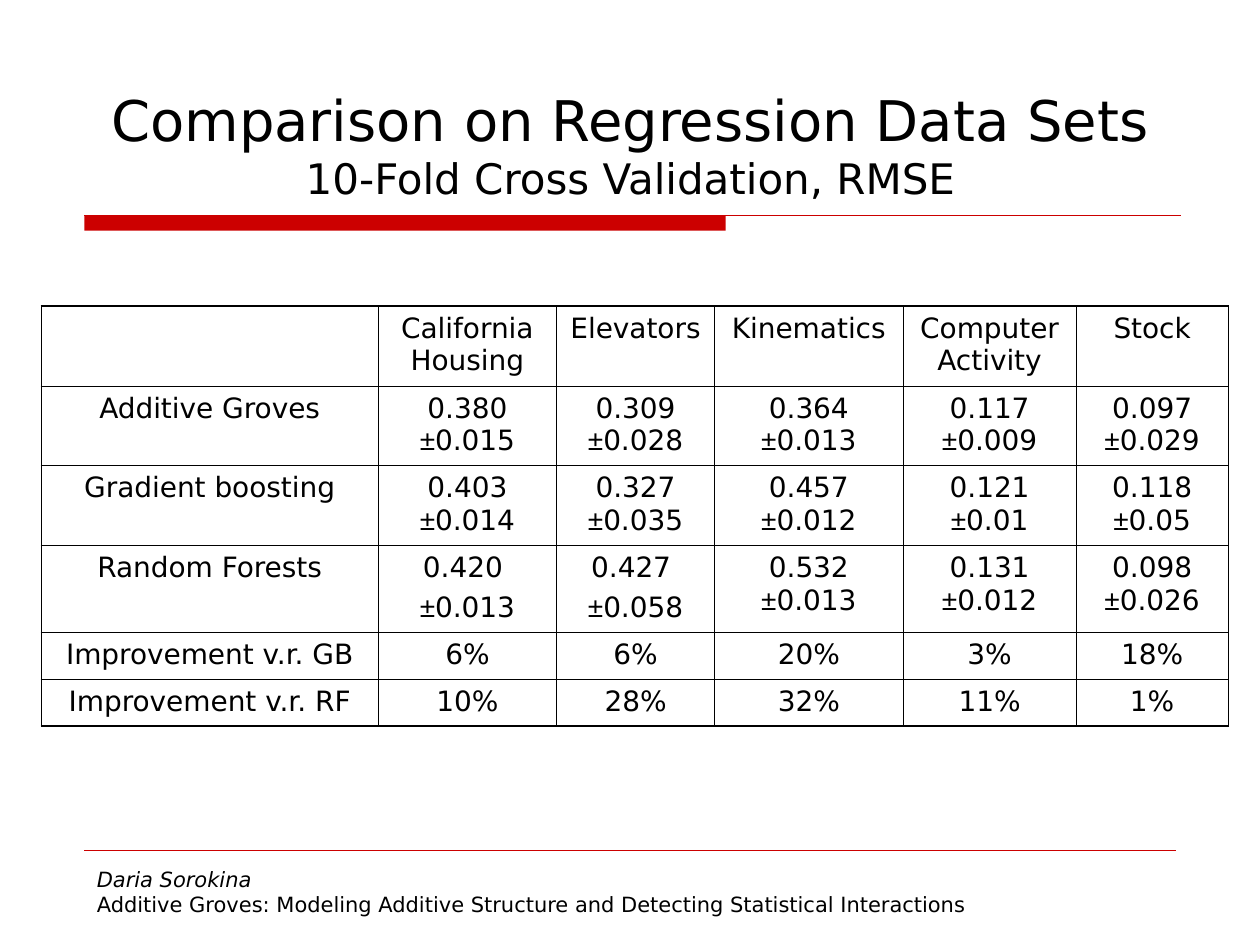
import dataclasses

import lxml.etree
import pptx
import pptx.dml.color
import pptx.enum.shapes
import pptx.enum.text
import pptx.oxml.ns
import pptx.util

PX = 9144  # one px is a hundredth of an inch


@dataclasses.dataclass(frozen=True)
class Theme:
    ink: str = "000000"
    red: str = "CC0000"
    face: str = "DejaVu Sans"
    sign: str = "Arial"
    head: int = 32
    sub: int = 24
    cell: int = 16
    foot: int = 12
    gap: int = 4
    thin: float = 0.45
    thick: float = 1.08


@dataclasses.dataclass(frozen=True)
class Box:
    x: int
    y: int
    w: int
    h: int

    def emu(self) -> tuple[int, ...]:
        return tuple(n * PX for n in (self.x, self.y, self.w, self.h))


@dataclasses.dataclass(frozen=True)
class Rule:
    x: int
    y: int
    end: int
    width: float


@dataclasses.dataclass(frozen=True)
class Score:
    mean: str
    error: str
    split: bool = False  # error stands in its own paragraph


@dataclasses.dataclass(frozen=True)
class Row:
    label: str
    cells: tuple
    height: int


THEME = Theme()
CENTER = pptx.enum.text.PP_ALIGN.CENTER
BAR = Box(67, 171, 509, 12)
RULES = (Rule(67, 171, 937, 0.75), Rule(67, 675, 933, 0.25))
TITLE = Box(63, 33, 875, 133)
FOOTER = Box(67, 683, 800, 52)
GRID = Box(33, 243, 942, 332)
COLS = (267, 142, 125, 150, 137, 121)
ROWS = (
    Row("", ("California Housing", "Elevators", "Kinematics",
             "Computer Activity", "Stock"), 63),
    Row("Additive Groves", (
        Score("0.380", "0.015"), Score("0.309", "0.028"), Score("0.364", "0.013"),
        Score("0.117", "0.009"), Score("0.097", "0.029")), 63),
    Row("Gradient boosting", (
        Score("0.403", "0.014"), Score("0.327", "0.035"), Score("0.457", "0.012"),
        Score("0.121", "0.01"), Score("0.118", "0.05")), 63),
    Row("Random Forests", (
        Score("0.420", "0.013", True), Score("0.427", "0.058", True),
        Score("0.532", "0.013"), Score("0.131", "0.012"), Score("0.098", "0.026")), 69),
    Row("Improvement v.r. GB", ("6%", "6%", "20%", "3%", "18%"), 37),
    Row("Improvement v.r. RF", ("10%", "28%", "32%", "11%", "1%"), 37),
)


def color(code: str) -> pptx.dml.color.RGBColor:
    return pptx.dml.color.RGBColor.from_string(code)


def add_run(para, text: str, size: int, face: str = THEME.face,
            slant: bool = False) -> None:
    run = para.add_run()
    run.text = text
    run.font.size = pptx.util.Pt(size)
    run.font.name = face
    run.font.italic = slant
    run.font.color.rgb = color(THEME.ink)


def add_frame(slide, box: Box):
    frame = slide.shapes.add_textbox(*box.emu()).text_frame
    frame.word_wrap = True
    return frame


def draw_title(slide) -> None:
    frame = add_frame(slide, TITLE)
    frame.vertical_anchor = pptx.enum.text.MSO_ANCHOR.BOTTOM
    para = frame.paragraphs[0]
    para.alignment = CENTER
    add_run(para, "Comparison on Regression Data Sets", THEME.head)
    para.add_line_break()
    add_run(para, "10-Fold Cross Validation, RMSE", THEME.sub)


def draw_footer(slide) -> None:
    frame = add_frame(slide, FOOTER)
    add_run(frame.paragraphs[0], "Daria Sorokina", THEME.foot, slant=True)
    add_run(frame.add_paragraph(),
            "Additive Groves: Modeling Additive Structure and Detecting "
            "Statistical Interactions", THEME.foot)


def draw_bar(slide, box: Box) -> None:
    bar = slide.shapes.add_shape(pptx.enum.shapes.MSO_SHAPE.RECTANGLE, *box.emu())
    bar.shadow.inherit = False
    bar.fill.solid()
    bar.fill.fore_color.rgb = color(THEME.red)
    bar.line.fill.background()


def draw_rule(slide, rule: Rule) -> None:
    line = slide.shapes.add_connector(
        pptx.enum.shapes.MSO_CONNECTOR.STRAIGHT,
        rule.x * PX, rule.y * PX, rule.end * PX, rule.y * PX)
    line.line.color.rgb = color(THEME.red)
    line.line.width = pptx.util.Pt(rule.width)
    add_node(line.element.spPr, "a:effectLst")


def add_node(parent, tag: str, **attrs: str):
    return lxml.etree.SubElement(parent, pptx.oxml.ns.qn(tag), **attrs)


def set_edges(cell, outer: dict[str, bool]) -> None:
    """Draw the four borders, thick where the side is on the table's rim."""
    props = cell._tc.get_or_add_tcPr()
    for side, rim in outer.items():
        width = pptx.util.Pt(THEME.thick if rim else THEME.thin)
        edge = add_node(props, f"a:{side}", w=str(int(width)))
        add_node(add_node(edge, "a:solidFill"), "a:srgbClr", val=THEME.ink)


def fill_cell(cell, value: str | Score) -> None:
    para = cell.text_frame.paragraphs[0]
    para.alignment = CENTER
    if isinstance(value, str):
        if value:
            add_run(para, value, THEME.cell)
        return
    add_run(para, value.mean + " ", THEME.cell)
    if value.split:
        para = cell.text_frame.add_paragraph()
        para.alignment = CENTER
        para.space_before = pptx.util.Pt(THEME.gap)
    add_run(para, "±", THEME.cell, THEME.sign)
    add_run(para, value.error, THEME.cell)


def draw_table(slide) -> None:
    table = slide.shapes.add_table(len(ROWS), len(COLS), *GRID.emu()).table
    table.first_row = table.horz_banding = False
    for col, width in zip(table.columns, COLS):
        col.width = width * PX
    for r, row in enumerate(ROWS):
        table.rows[r].height = row.height * PX
        for c, value in enumerate((row.label, *row.cells)):
            cell = table.cell(r, c)
            set_edges(cell, {"lnL": c == 0, "lnR": c == len(COLS) - 1,
                             "lnT": r == 0, "lnB": r == len(ROWS) - 1})
            cell.fill.background()
            fill_cell(cell, value)


def main() -> None:
    deck = pptx.Presentation()
    deck.slide_width, deck.slide_height = 1000 * PX, 750 * PX
    slide = deck.slides.add_slide(deck.slide_layouts[6])
    draw_bar(slide, BAR)
    for rule in RULES:
        draw_rule(slide, rule)
    draw_footer(slide)
    draw_title(slide)
    draw_table(slide)
    deck.save("out.pptx")


if __name__ == "__main__":
    main()
